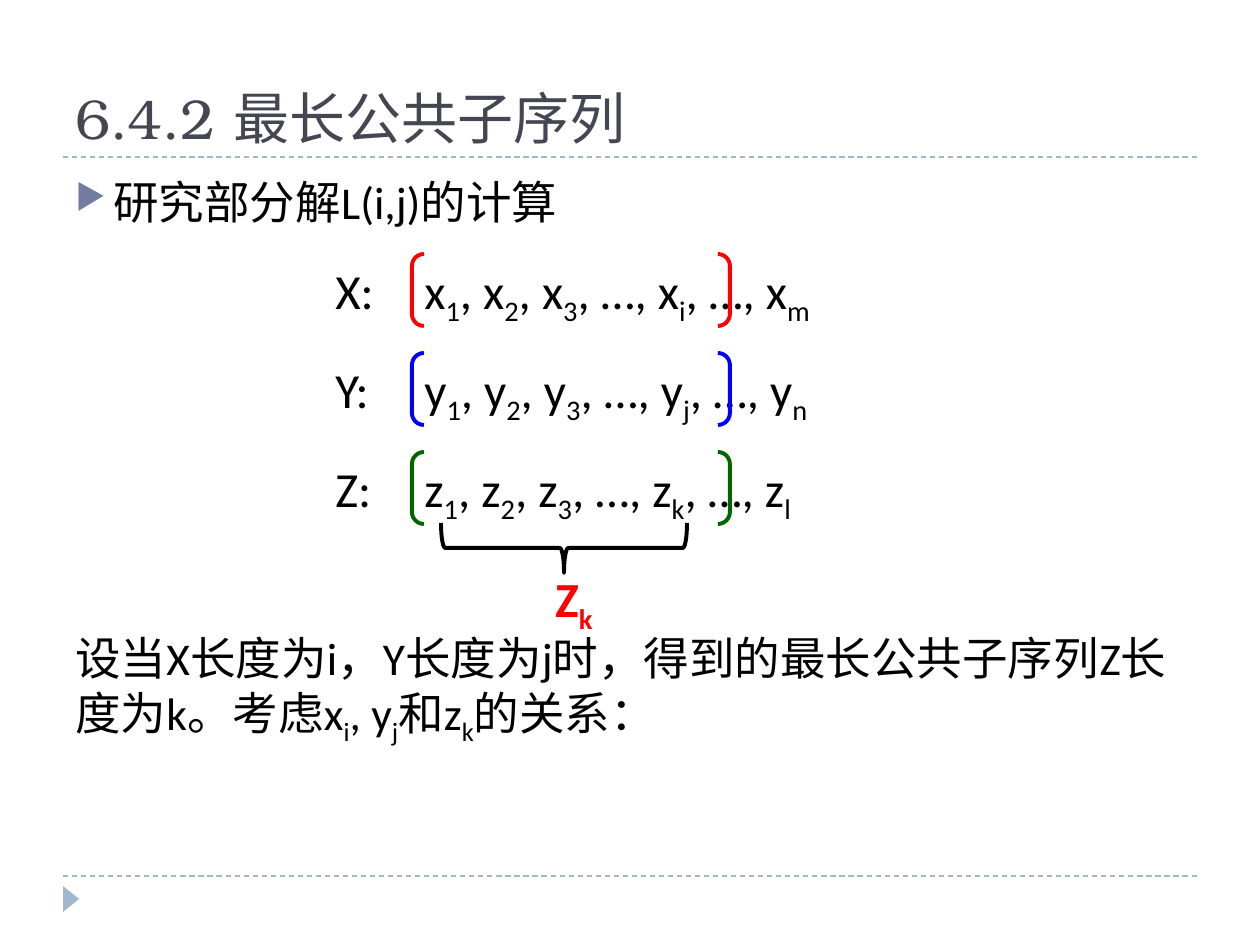
from lxml import etree
from pptx import Presentation
from pptx.dml.color import RGBColor
from pptx.enum.dml import MSO_LINE
from pptx.enum.shapes import MSO_CONNECTOR, MSO_SHAPE
from pptx.enum.text import MSO_ANCHOR
from pptx.oxml.ns import qn
from pptx.util import Pt

STRAIGHT = MSO_CONNECTOR.STRAIGHT
DASH = MSO_LINE.DASH
TRIANGLE = MSO_SHAPE.ISOSCELES_TRIANGLE
BRACKETS = MSO_SHAPE.DOUBLE_BRACKET
BRACE = MSO_SHAPE.RIGHT_BRACE
TOP, BOTTOM = MSO_ANCHOR.TOP, MSO_ANCHOR.BOTTOM

BLACK = RGBColor(0, 0, 0)
RED = RGBColor(0xFF, 0, 0)
BLUE = RGBColor(0, 0, 0xFF)
GREEN = RGBColor(0, 0x66, 0)
SLATE = RGBColor(0x46, 0x46, 0x53)
PALE_BLUE = RGBColor(0x9F, 0xB8, 0xCD)
BULLET_COLOR = "727CA3"

HEADING_FONT, BODY_FONT = "TeX Gyre Bonum", "Calibri"

HEADING = ["6.4.2 最长公共子序列"]
TOPIC = ["研究部分解L(i,j)的计算"]
QUESTION = ["设当X长度为i，Y长度为j时，得到的最长公共子序列Z长度为k。考虑x",
            "i", ", y", "j", "和z", "k", "的关系："]
PREFIX = ["Z", "k"]
SEQUENCES = [
    ("X:", "x", "i", "m", RED, 64, 440),
    ("Y:", "y", "j", "n", BLUE, 59, 436),
    ("Z:", "z", "k", "l", GREEN, 62, 417),
]
RULE_YS = (157, 876)
RULE_LEFT, RULE_RIGHT = 63, 1197
LABEL_X, TERMS_X = 323, 412
ROW_TOP, ROW_STEP, ROW_HEIGHT = 254, 99, 72
BRACKET_WIDTH = 318

SCALE = 914400 / 126


def px(*lengths):
    return [round(length * SCALE) for length in lengths]


prs = Presentation()
prs.slide_width, prs.slide_height = px(1260, 945)
slide = prs.slides.add_slide(prs.slide_layouts[6])
shapes = slide.shapes


def add_text(box, parts, size, color=BLACK, font=BODY_FONT, bold=False,
             wrap=False, anchor=TOP):
    frame = shapes.add_textbox(*px(*box)).text_frame
    frame.word_wrap = wrap
    frame.vertical_anchor = anchor
    paragraph = frame.paragraphs[0]
    paragraph.font.size = Pt(size)
    paragraph.font.name = font
    paragraph.font.bold = bold
    paragraph.font.color.rgb = color
    for index, part in enumerate(parts):
        run = paragraph.add_run()
        run.text = part
        if index % 2:
            run._r.get_or_add_rPr().set("baseline", "-25000")
    return paragraph


def add_outline(kind, box, color):
    outline = shapes.add_shape(kind, *px(*box))
    outline.shadow.inherit = False
    outline.fill.background()
    outline.line.color.rgb = color
    outline.line.width = Pt(2.25)
    return outline


def add_bullet(paragraph, indent):
    props = paragraph._p.get_or_add_pPr()
    props.set("marL", str(indent))
    props.set("indent", str(-indent))
    color = etree.Element(qn("a:buClr"))
    etree.SubElement(color, qn("a:srgbClr"), val=BULLET_COLOR)
    size = etree.Element(qn("a:buSzPct"), val="76000")
    mark = etree.Element(qn("a:buChar"), char="▶")
    for position, item in enumerate((color, size, mark)):
        props.insert(position, item)


for y in RULE_YS:
    rule = shapes.add_connector(STRAIGHT, *px(RULE_LEFT, y, RULE_RIGHT, y))
    rule.line.color.rgb = PALE_BLUE
    rule.line.width = Pt(0.75)
    rule.line.dash_style = DASH
    etree.SubElement(rule._element.spPr, qn("a:effectLst"))

corner = shapes.add_shape(TRIANGLE, *px(58, 891, 26, 16))
corner.rotation = 90
corner.shadow.inherit = False
corner.fill.solid()
corner.fill.fore_color.rgb = PALE_BLUE
corner.line.fill.background()

add_text((63, 21, 1134, 136), HEADING, 32, SLATE, HEADING_FONT,
         wrap=True, anchor=BOTTOM)
topic = add_text((63, 168, 1134, 68), TOPIC, 26, wrap=True)
add_bullet(topic, px(38)[0])
add_text((63, 624, 1134, 122), QUESTION, 26, wrap=True)

for row, (label, term, middle, last, color, label_w, terms_w) in enumerate(SEQUENCES):
    top = ROW_TOP + row * ROW_STEP
    terms = [term, "1", f", {term}", "2", f", {term}", "3",
             f", …, {term}", middle, f", …, {term}", last]
    add_text((LABEL_X, top, label_w, ROW_HEIGHT), [label], 28)
    add_text((TERMS_X, top, terms_w, ROW_HEIGHT), terms, 28)
    add_outline(BRACKETS, (TERMS_X, top, BRACKET_WIDTH, ROW_HEIGHT), color)

add_text((543, 562, 66, ROW_HEIGHT), PREFIX, 28, RED, bold=True)
brace = add_outline(BRACE, (539, 425, 50, 246), BLACK)
brace.rotation = 90

prs.save("out.pptx")
